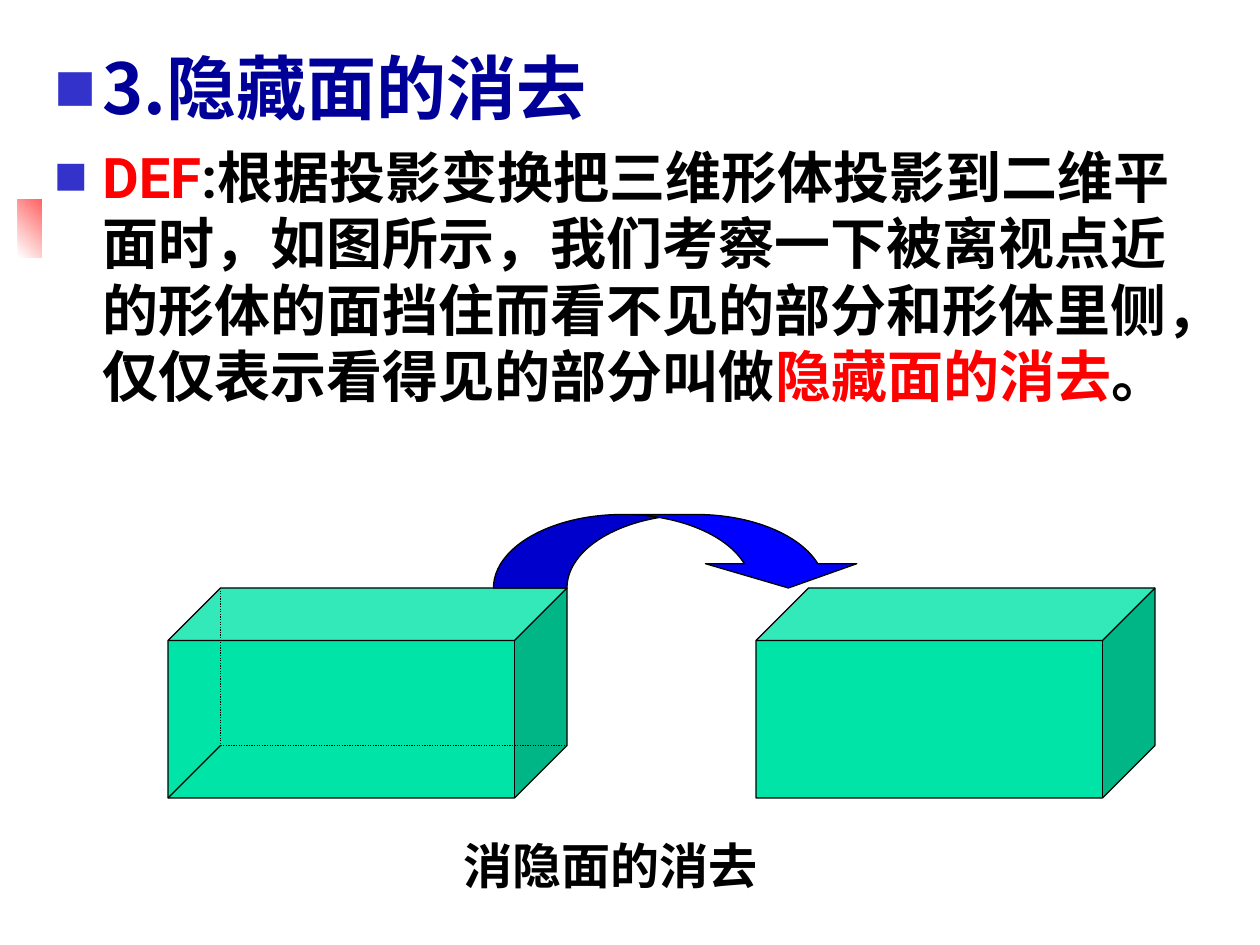
from lxml.etree import SubElement
from pptx import Presentation
from pptx.dml.color import RGBColor
from pptx.enum.dml import MSO_LINE_DASH_STYLE as DASH
from pptx.enum.shapes import MSO_CONNECTOR as CONN, MSO_SHAPE as SHAPE
from pptx.enum.text import MSO_ANCHOR as ANCHOR, MSO_AUTO_SIZE as FIT, PP_ALIGN as ALIGN
from pptx.oxml.ns import qn
from pptx.util import Inches, Pt

COLS, ROWS = 120, 90
CJK = "Noto Sans CJK SC"
RED, BLACK, NAVY = "FF0000", "000000", "000099"


def rgb(value):
    return RGBColor.from_string(value)


def assign(obj, values):
    for name, value in values.items():
        setattr(obj, name, value)


class Deck:
    def __init__(self):
        self.prs = Presentation()
        assign(self.prs, dict(slide_width=Inches(10), slide_height=Inches(7.5)))

    def new_slide(self):
        self.s = self.prs.slides.add_slide(self.prs.slide_layouts[1])
        title = self.s.shapes.title
        title.element.getparent().remove(title.element)
        self.s.background.fill.solid()
        self.s.background.fill.fore_color.rgb = rgb("FFFFFF")

    def x(self, col):
        return round(self.prs.slide_width * col / COLS)

    def y(self, row):
        return round(self.prs.slide_height * row / ROWS)

    def box(self, col, row, cols, rows):
        return self.x(col), self.y(row), self.x(cols), self.y(rows)

    def outline(self, sp):
        sp.line.color.rgb = rgb(BLACK)
        sp.line.width = Pt(0.75)

    def shape(self, kind, area, fill, adjustments=()):
        sp = self.s.shapes.add_shape(kind, *self.box(*area))
        sp.shadow.inherit = False
        for i, value in enumerate(adjustments):
            sp.adjustments[i] = value
        sp.fill.solid()
        sp.fill.fore_color.rgb = rgb(fill)
        self.outline(sp)
        return sp

    def accent(self, area, start, end, angle):
        sp = self.shape(SHAPE.RECTANGLE, area, start)
        sp.fill.gradient()
        sp.fill.gradient_angle = angle
        for stop, color in zip(sp.fill.gradient_stops, (start, end)):
            stop.color.rgb = rgb(color)
        sp.line.fill.background()
        self.s.shapes._spTree.insert(2, sp.element)

    def line(self, start, end, dash=None):
        cn = self.s.shapes.add_connector(
            CONN.STRAIGHT, self.x(start[0]), self.y(start[1]), self.x(end[0]), self.y(end[1]))
        SubElement(cn.element.spPr, qn("a:effectLst"))
        self.outline(cn)
        cn.line.dash_style = dash

    def runs(self, p, parts, font, size):
        for text, color in parts:
            r = p.add_run()
            r.text = text
            assign(r.font, dict(name=font, size=Pt(size), bold=True))
            r.font.color.rgb = rgb(color)
            SubElement(r.font._element, qn("a:ea"), typeface=CJK)

    def bullet(self, p):
        pPr = p._p.get_or_add_pPr()
        indent = Inches(0.38)
        pPr.set("marL", str(indent))
        pPr.set("indent", str(-indent))
        SubElement(SubElement(pPr, qn("a:buClr")), qn("a:srgbClr"), val="3333CC")
        SubElement(pPr, qn("a:buSzPct"), val="60000")
        SubElement(pPr, qn("a:buFont"), typeface=CJK)
        SubElement(pPr, qn("a:buChar"), char="■")

    def body(self, area, paragraphs):
        sp = self.s.placeholders[1]
        assign(sp, dict(zip(("left", "top", "width", "height"), self.box(*area))))
        sp.fill.solid()
        sp.fill.fore_color.rgb = rgb("FFFFFF")
        tf = sp.text_frame
        assign(tf, dict(word_wrap=True, auto_size=FIT.NONE, vertical_anchor=ANCHOR.TOP))
        for i, (parts, font, size, before, pitch) in enumerate(paragraphs):
            p = tf.add_paragraph() if i else tf.paragraphs[0]
            self.bullet(p)
            assign(p, dict(space_before=Pt(before), line_spacing=Pt(pitch), alignment=ALIGN.LEFT))
            self.runs(p, parts, font, size)

    def caption(self, area, text, font, size):
        tf = self.s.shapes.add_textbox(*self.box(*area)).text_frame
        tf.word_wrap = True
        self.runs(tf.paragraphs[0], [(text, BLACK)], font, size)

    def cuboid(self, area, see_through=False):
        self.shape(SHAPE.CUBE, area, "00E4A8", [0.25])
        if see_through:
            col, row, cols, rows = area
            depth = rows / 4
            corner = col + depth, row + rows - depth
            self.line((col, row + rows), corner)
            self.line(corner, (col + cols, corner[1]), DASH.ROUND_DOT)
            self.line((corner[0], row), corner, DASH.ROUND_DOT)


def main():
    deck = Deck()
    deck.new_slide()
    deck.accent((1.7, 19, 7.3, 5.5), "FFFFFF", RED, 45)
    definition = [
        ("DEF", RED),
        (":根据投影变换把三维形体投影到二维平面时，如图所示，我们考察一下被离视点近的形体的面挡住而看不见的部分和形体里侧，仅仅表示看得见的部分叫做", BLACK),
        ("隐藏面的消去", RED),
        ("。", BLACK),
    ]
    deck.body((4, 3, 111, 40), [
        ([("3.隐藏面的消去", NAVY)], CJK, 40, 0, 52),
        (definition, "Roboto", 32, 8, 38),
    ])
    deck.cuboid((16, 56, 38, 20), see_through=True)
    deck.cuboid((72, 56, 38, 20))
    deck.shape(SHAPE.CURVED_DOWN_ARROW, (47, 49, 35.3, 7), "0000FF", [1.03, 2.06, 0.33])
    deck.caption((43, 79, 42, 6.8), "消隐面的消去", "Times New Roman", 28)
    deck.prs.save("out.pptx")


if __name__ == "__main__":
    main()
